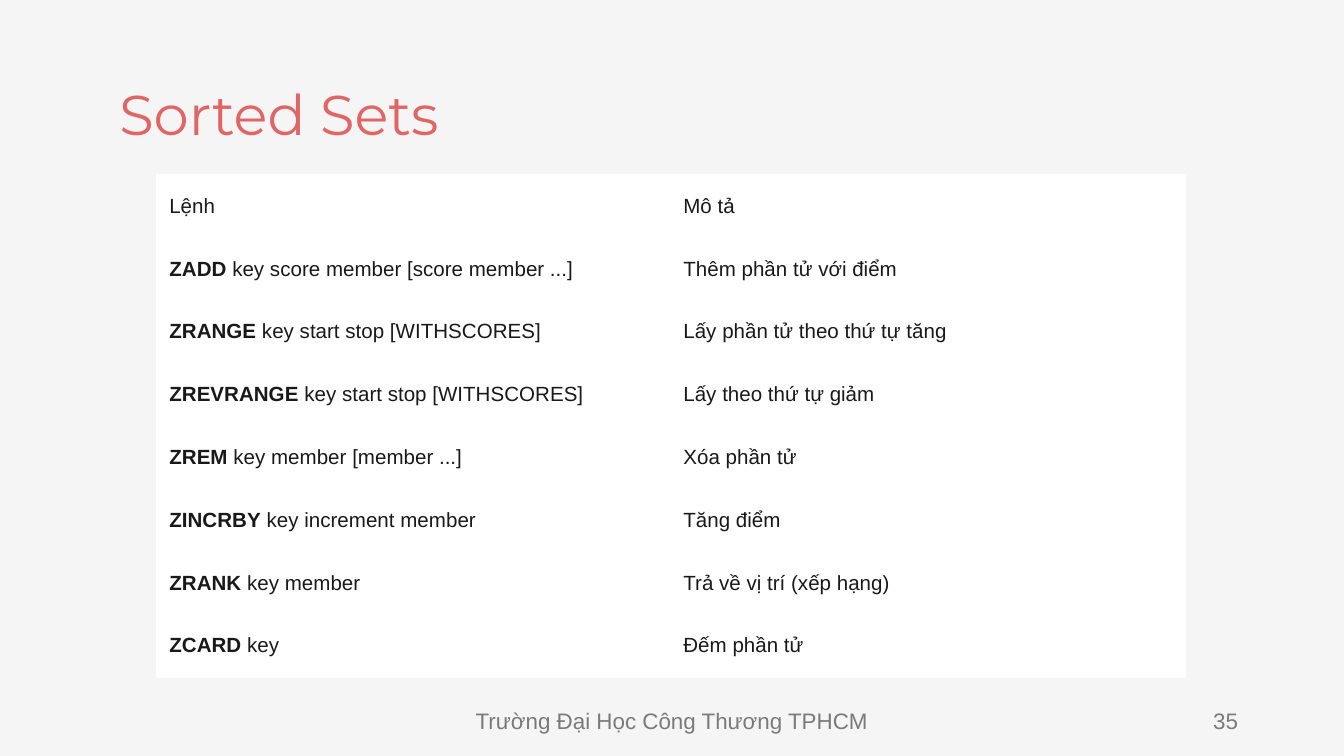
from pptx import Presentation
from pptx.dml.color import RGBColor
from pptx.enum import text
from pptx.oxml import parse_xml
from pptx.oxml.ns import nsdecls
from pptx.util import Inches, Pt


def rgb(value):
    return RGBColor.from_string(value)


def add_run(paragraph, words, size, font, color, bold=False):
    run = paragraph.add_run()
    run.text = words
    run.font.size = Pt(size)
    run.font.name = font
    run.font.bold = bold
    run.font.color.rgb = rgb(color)


prs = Presentation()
prs.slide_width = Inches(10)
prs.slide_height = prs.slide_width * 9 // 16
slide = prs.slides.add_slide(prs.slide_layouts[6])
slide.background.fill.solid()
slide.background.fill.fore_color.rgb = rgb("F5F5F5")

LEFT, CENTER, RIGHT = text.PP_ALIGN.LEFT, text.PP_ALIGN.CENTER, text.PP_ALIGN.RIGHT
TOP, MIDDLE = text.MSO_ANCHOR.TOP, text.MSO_ANCHOR.MIDDLE
labels = [
    ("35", (7.06, 5.21, 2.25, 0.3), RIGHT, MIDDLE, 0.05, 12, "Arial", "7A7A7A"),
    ("Trường Đại Học Công Thương TPHCM", (3.31, 5.21, 3.38, 0.3), CENTER, MIDDLE, 0.05, 12, "Arial", "7A7A7A"),
    ("Sorted Sets", (0.79, 0.49, 8.43, 0.63), LEFT, TOP, 0.1, 30, "Montserrat", "E06666"),
]
for words, place, align, anchor, inset, size, font, color in labels:
    frame = slide.shapes.add_textbox(*map(Inches, place)).text_frame
    frame.word_wrap = True
    frame.vertical_anchor = anchor
    frame.margin_left = frame.margin_right = Inches(0.1)
    frame.margin_top = frame.margin_bottom = Inches(inset)
    frame.paragraphs[0].alignment = align
    add_run(frame.paragraphs[0], words, size, font, color)

commands = [
    ("", "Lệnh", "Mô tả"),
    ("ZADD", " key score member [score member ...]", "Thêm phần tử với điểm"),
    ("ZRANGE", " key start stop [WITHSCORES]", "Lấy phần tử theo thứ tự tăng"),
    ("ZREVRANGE", " key start stop [WITHSCORES]", "Lấy theo thứ tự giảm"),
    ("ZREM", " key member [member ...]", "Xóa phần tử"),
    ("ZINCRBY", " key increment member", "Tăng điểm"),
    ("ZRANK", " key member", "Trả về vị trí (xếp hạng)"),
    ("ZCARD", " key", "Đếm phần tử"),
]
table = slide.shapes.add_table(
    len(commands), 2, Inches(1.17), Inches(1.3), Inches(7.65), Inches(3.74)
).table
table.first_row = table.horz_banding = False

for row, (command, arguments, description) in zip(table.rows, commands):
    for cell, runs in zip(row.cells, [[(command, True), (arguments, False)], [(description, False)]]):
        cell.vertical_anchor = MIDDLE
        cell.margin_left = cell.margin_right = Inches(0.09)
        cell.margin_top = cell.margin_bottom = Inches(0.05)
        for words, bold in runs:
            if words:
                add_run(cell.text_frame.paragraphs[0], words, 11, "Arial", "191919", bold)
        properties = cell._tc.get_or_add_tcPr()
        for side in ("lnL", "lnR", "lnT", "lnB"):
            properties.append(parse_xml(
                f'<a:{side} {nsdecls("a")} w="{Pt(1)}"><a:solidFill>'
                f'<a:srgbClr val="FFFFFF"/></a:solidFill></a:{side}>'
            ))
        cell.fill.solid()
        cell.fill.fore_color.rgb = rgb("FFFFFF")

prs.save("out.pptx")
